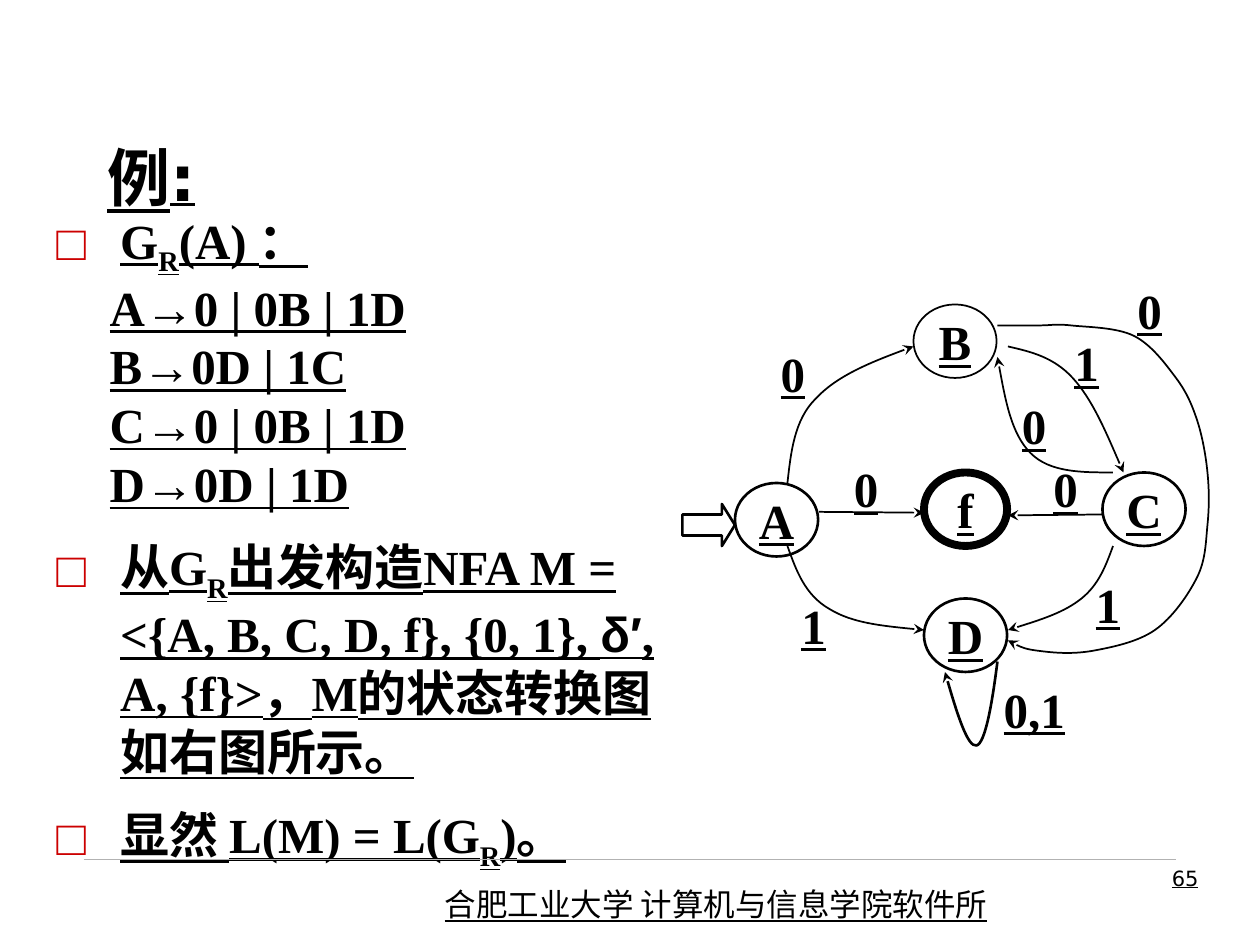
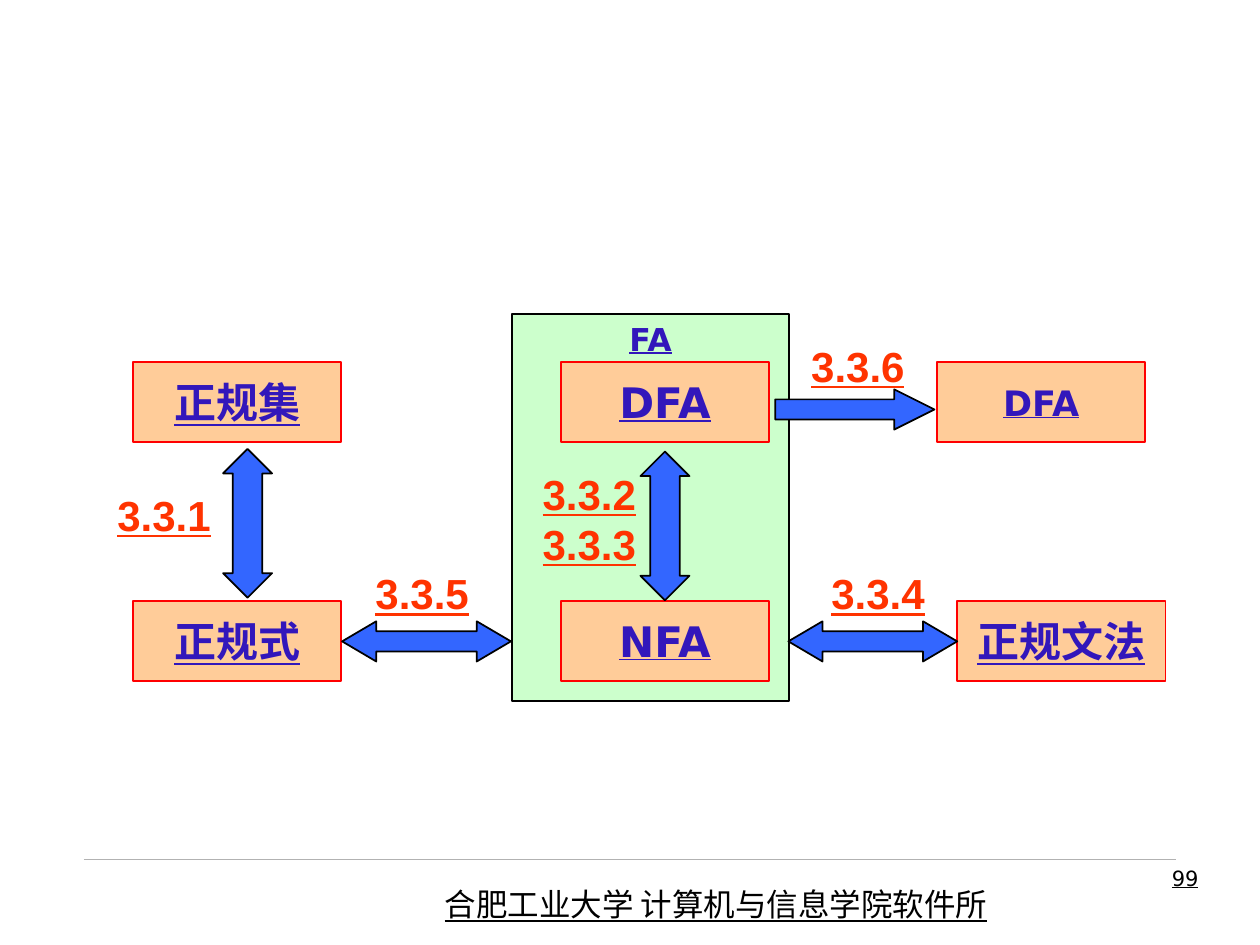
from lxml import etree
from pptx import Presentation
from pptx.dml.color import RGBColor
from pptx.enum.shapes import MSO_CONNECTOR, MSO_SHAPE
from pptx.enum.text import MSO_ANCHOR, MSO_AUTO_SIZE, PP_ALIGN
from pptx.oxml.ns import qn
from pptx.util import Pt

STRAIGHT = MSO_CONNECTOR.STRAIGHT
OVAL, RECTANGLE = MSO_SHAPE.OVAL, MSO_SHAPE.RECTANGLE
RIGHT_ARROW = MSO_SHAPE.RIGHT_ARROW
LEFT_RIGHT, UP_DOWN = MSO_SHAPE.LEFT_RIGHT_ARROW, MSO_SHAPE.UP_DOWN_ARROW
TOP, MIDDLE, BOTTOM = MSO_ANCHOR.TOP, MSO_ANCHOR.MIDDLE, MSO_ANCHOR.BOTTOM
LEFT, CENTER, RIGHT = PP_ALIGN.LEFT, PP_ALIGN.CENTER, PP_ALIGN.RIGHT


class Theme:
    black, rule, bullet = "000000", "B2B2B2", "CC0000"
    box_fill, box_line, box_text = "FFCC99", "FF0000", "3217BB"
    group_fill, arrow_fill, section = "CCFFCC", "3366FF", "FF3300"
    serif, sans, label, chinese = "Times New Roman", "DejaVu Sans", "Arial", "Noto Sans CJK SC"
    # Text styles: font, size, colour, bold
    title = (sans, 36, black, True)
    body = (serif, 28, black, True)
    delta = (label, 28, black, True)
    footer = (chinese, 18, black, False)
    number = (sans, 12, black, False)
    group_name = (sans, 18, box_text, True)
    box_name = (sans, 24, box_text, True)
    small_name = (sans, 20, box_text, True)
    section_name = (label, 24, section, True)


# Shared content
FOOTER = "合肥工业大学 计算机与信息学院软件所"

# Grammar slide: (kind, runs); "sub" and "delta" mark special runs
TITLE = "例:"
GRAMMAR = [
    ("bullet", [("G", ""), ("R", "sub"), ("(A) ：", "")]),
    ("rule", [("A→0 | 0B | 1D", "")]),
    ("rule", [("B→0D | 1C", "")]),
    ("rule", [("C→0 | 0B | 1D", "")]),
    ("rule", [("D→0D | 1D", "")]),
    ("bullet", [("从G", ""), ("R", "sub"),
                ("出发构造NFA M = <{A, B, C, D, f}, {0, 1}, ", ""), ("δ′", "delta"),
                (", A, {f}>，M的状态转换图如右图所示。", "")]),
    ("bullet", [("显然 L(M) = L(G", ""), ("R", "sub"), (")。", "")]),
]
INDENTS = {"bullet": (36.5, -36.5), "rule": (65, -34.5)}

STATE_SIZE = (47.5, 42)
STATES = [  # name, left, top, outline width
    ("A", 420, 276, 1.5), ("B", 522, 174, 1), ("C", 630, 270, 1.5),
    ("D", 528, 342, 1.5), ("f", 528, 270, 4.5),
]
INPUT_SIZE = (66, 42)
INPUTS = [  # symbol, left, top
    ("1", 588, 186), ("0", 420, 192), ("0,1", 558, 384),
    ("1", 432, 336), ("1", 600, 324), ("0", 558, 222),
    ("0", 624, 156), ("0", 462, 258), ("0", 576, 258),
]
STRAIGHT_MOVES = [((468, 292.5), (528, 293)), ((630, 294), (576, 294.5))]
CURVED_MOVES = [  # outline width, start point, then three points per Bezier segment
    (1.5, [(570, 378), (567, 402), (563, 425), (558, 426), (553, 427), (546, 405), (540, 384)]),
    (1, [(450, 276), (452, 258), (454, 240), (466, 228), (478, 215), (500, 206), (522, 198)]),
    (1, [(450, 312), (455, 326), (460, 340), (474, 348), (487, 356), (507, 358), (528, 360)]),
    (1, [(636, 270), (618, 270), (600, 270), (589, 259), (578, 248), (574, 226), (570, 204)]),
    (1, [(576, 198), (589, 201), (602, 204), (613, 216), (624, 228), (633, 249), (642, 270)]),
    (1, [(636, 312), (632, 323), (628, 334), (618, 342), (608, 350), (592, 355), (576, 360)]),
    (1, [(570, 186), (578, 186), (587, 186), (594, 186), (601, 186), (603, 185), (612, 186),
         (621, 187), (638, 187), (648, 192), (658, 197), (666, 208), (672, 216),
         (678, 224), (681, 231), (684, 240), (687, 249), (689, 260), (690, 270),
         (691, 280), (691, 290), (690, 300), (689, 310), (689, 320), (684, 330),
         (679, 340), (670, 353), (660, 360), (650, 367), (635, 370), (624, 372),
         (612, 374), (602, 373), (594, 372), (586, 371), (581, 369), (576, 366)]),
]

# Relations slide
BOX_SIZE = (119, 45.5)
UPPER, LOWER = 207, 343.5
BOXES = [  # name, left, top, style
    ("正规集", 76, UPPER, Theme.box_name), ("正规式", 76, LOWER, Theme.box_name),
    ("DFA", 320.5, UPPER, Theme.box_name), ("NFA", 320.5, LOWER, Theme.box_name),
    ("DFA", 535.5, UPPER, Theme.small_name), ("正规文法", 547, LOWER, Theme.box_name),
]
ARROWS = [  # kind, area, head proportion
    (LEFT_RIGHT, (195.5, 355, 96.5, 23), 0.85), (LEFT_RIGHT, (450.5, 355, 96.5, 23), 0.85),
    (UP_DOWN, (127.5, 256.5, 28, 85), 0.6), (UP_DOWN, (366, 258, 28, 85), 0.6),
    (RIGHT_ARROW, (443, 222.5, 91, 23), 1),
]
SECTIONS = [  # text, left, top
    ("3.3.1", 60, 276), ("3.3.2\n3.3.3", 303, 264), ("3.3.4", 468, 321),
    ("3.3.5", 207.5, 321), ("3.3.6", 456.5, 191),
]


def points(*values):
    return [Pt(value) for value in values]


def colour(value):
    return RGBColor.from_string(value)


def style_span(span, style):
    font = span.font
    font.name, font.bold, font.underline = style[0], style[3], True
    font.size = Pt(style[1])
    font.color.rgb = colour(style[2])
    east = etree.SubElement(span._r.get_or_add_rPr(), qn("a:ea"))
    east.set("typeface", Theme.chinese)


def write(shape, text, style, align=CENTER, anchor=TOP, wrap=False):
    frame = shape.text_frame
    frame.text = text
    frame.word_wrap = wrap
    frame.auto_size = MSO_AUTO_SIZE.NONE
    frame.vertical_anchor = anchor
    for para in frame.paragraphs:
        para.alignment = align
        para.space_before = Pt(0)
        for span in para.runs:
            style_span(span, style)


def add_text(page, area, text, style, **layout):
    write(page.shapes.add_textbox(*points(*area)), text, style, **layout)


def style_outline(shape, fill, line, width):
    shape.shadow.inherit = False
    if fill:
        shape.fill.solid()
        shape.fill.fore_color.rgb = colour(fill)
    else:
        shape.fill.background()
    shape.line.color.rgb = colour(line)
    shape.line.width = Pt(width)


def add_figure(page, kind, area, fill=None, line=Theme.black, width=1.0, head=None):
    shape = page.shapes.add_shape(kind, *points(*area))
    style_outline(shape, fill, line, width)
    if head:
        shape.adjustments[0], shape.adjustments[1] = 0.5, head
    return shape


def add_arrowhead(shape):
    shape.line._get_or_add_ln().append(
        etree.Element(qn("a:tailEnd"), type="stealth", w="med", len="med"))


def add_line(page, start, end, ink, width):
    line = page.shapes.add_connector(STRAIGHT, *points(*start, *end))
    line.line.color.rgb = colour(ink)
    line.line.width = Pt(width)
    etree.SubElement(line.element.spPr, qn("a:effectLst"))
    return line


def add_curve(page, nodes, width):
    builder = page.shapes.build_freeform(*nodes[0], scale=Pt(1))
    builder.add_line_segments(nodes[1:], close=False)
    shape = builder.convert_to_shape()
    style_outline(shape, None, Theme.black, width)
    # Every three line segments become one cubic segment
    steps = shape.element.xpath(".//a:lnTo")
    for first in range(0, len(steps), 3):
        group = steps[first:first + 3]
        curve = etree.Element(qn("a:cubicBezTo"))
        group[0].addprevious(curve)
        for step in group:
            curve.append(step[0])
            step.getparent().remove(step)
    add_arrowhead(shape)


def add_footer(page, number):
    add_line(page, (48, 491), (672, 491), Theme.rule, 0.25)
    add_text(page, (247, 502, 340, 29), FOOTER, Theme.footer, align=LEFT, wrap=True)
    add_text(page, (535.5, 491, 156.5, 37.5), str(number), Theme.number, align=RIGHT, wrap=True)


def place(shape, area):
    shape.left, shape.top, shape.width, shape.height = points(*area)


def fill_grammar(body):
    frame = body.text_frame
    frame.auto_size = MSO_AUTO_SIZE.NONE
    frame.vertical_anchor = TOP
    for index, (kind, parts) in enumerate(GRAMMAR):
        para = frame.add_paragraph() if index else frame.paragraphs[0]
        para.level = 0 if kind == "bullet" else 1
        para.alignment = LEFT
        para.space_before = Pt(14 if index and kind == "bullet" else 0)
        props = para._p.get_or_add_pPr()
        margin, indent = INDENTS[kind]
        props.set("marL", str(Pt(margin)))
        props.set("indent", str(Pt(indent)))
        if kind == "bullet":
            ink = etree.SubElement(props, qn("a:buClr"))
            etree.SubElement(ink, qn("a:srgbClr"), val=Theme.bullet)
            etree.SubElement(props, qn("a:buChar"), char="□")
        else:
            etree.SubElement(props, qn("a:buNone"))
        for text, mark in parts:
            span = para.add_run()
            span.text = text
            style_span(span, Theme.delta if mark == "delta" else Theme.body)
            if mark == "sub":
                span._r.get_or_add_rPr().set("baseline", "-25000")


def build_grammar(deck):
    page = deck.slides.add_slide(deck.slide_layouts[1])
    add_footer(page, 65)
    # Title and grammar
    title, body = page.shapes.title, page.placeholders[1]
    place(title, (54, 36, 648, 90))
    write(title, TITLE, Theme.title, align=LEFT, anchor=BOTTOM, wrap=True)
    place(body, (25, 116.5, 372, 342))
    fill_grammar(body)
    # State diagram
    for name, left, top, width in STATES:
        state = add_figure(page, OVAL, (left, top, *STATE_SIZE), width=width)
        write(state, name, Theme.body, anchor=MIDDLE)
    add_figure(page, RIGHT_ARROW, (390, 288, 30, 24), width=1.5, head=0.31)
    for width, nodes in CURVED_MOVES:
        add_curve(page, nodes, width)
    for start, end in STRAIGHT_MOVES:
        add_arrowhead(add_line(page, start, end, Theme.black, 1))
    for symbol, left, top in INPUTS:
        add_text(page, (left, top, *INPUT_SIZE), symbol, Theme.body, anchor=MIDDLE)


def build_relations(deck):
    page = deck.slides.add_slide(deck.slide_layouts[6])
    add_footer(page, 99)
    # Automata group and boxes
    group = add_figure(page, RECTANGLE, (292.5, 179.5, 158.5, 221), Theme.group_fill)
    write(group, "FA", Theme.group_name)
    for name, left, top, style in BOXES:
        box = add_figure(page, RECTANGLE, (left, top, *BOX_SIZE), Theme.box_fill, Theme.box_line)
        write(box, name, style, anchor=MIDDLE)
    # Conversions and their sections
    for kind, area, head in ARROWS:
        add_figure(page, kind, area, Theme.arrow_fill, head=head)
    for text, left, top in SECTIONS:
        height = 7 + 29 * len(text.split("\n"))
        add_text(page, (left, top, 67.5, height), text, Theme.section_name)


def main():
    deck = Presentation()
    deck.slide_width, deck.slide_height = points(720, 540)
    build_grammar(deck)
    build_relations(deck)
    deck.save("out.pptx")


if __name__ == "__main__":
    main()
